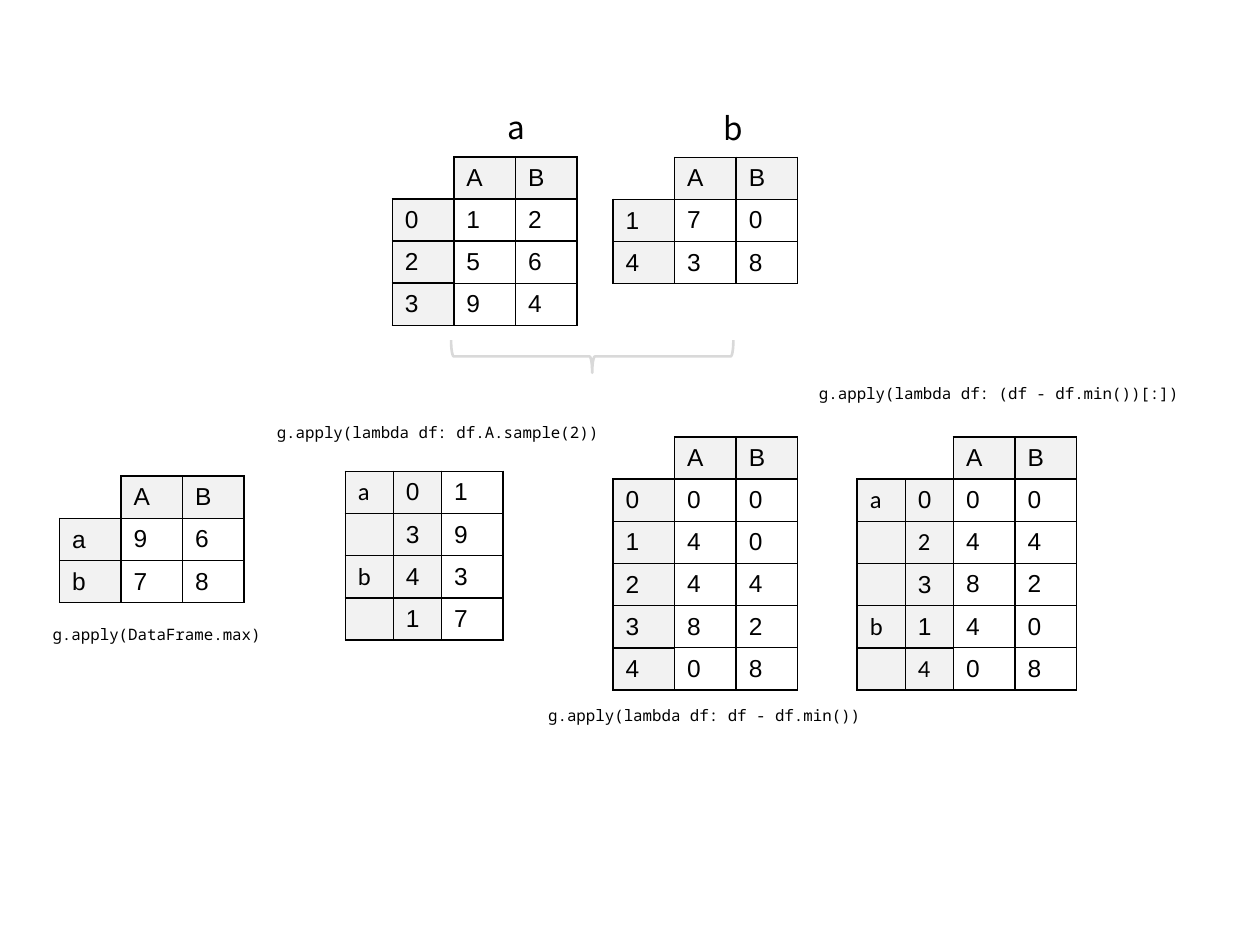
from dataclasses import dataclass

from lxml.etree import SubElement
from pptx import Presentation
from pptx.dml.color import RGBColor
from pptx.enum.shapes import MSO_SHAPE
from pptx.enum.text import MSO_ANCHOR, MSO_AUTO_SIZE
from pptx.oxml.ns import qn
from pptx.util import Cm, Pt


@dataclass(frozen=True)
class Theme:
    ink: RGBColor = RGBColor(0x00, 0x00, 0x00)
    shade: RGBColor = RGBColor(0xF2, 0xF2, 0xF2)
    brace: RGBColor = RGBColor(0xD9, 0xD9, 0xD9)
    cell_font: str = "Arial"
    level_font: str = "Calibri"
    group_font: str = "Noto Sans CJK SC"
    code_font: str = "Noto Sans Mono"
    cell_size: int = 14
    group_size: int = 18
    code_size: int = 9
    row: float = 0.85
    column: float = 1.24
    level: float = 0.97


class FrameSlide:
    def __init__(self, slide, theme):
        self.slide = slide
        self.theme = theme

    def run(self, paragraph, text, font, size):
        run = paragraph.add_run()
        run.text = text
        run.font.name = font
        run.font.size = Pt(size)
        run.font.color.rgb = self.theme.ink

    def label(self, text, left, top, width, height, font, size):
        box = self.slide.shapes.add_textbox(Cm(left), Cm(top), Cm(width), Cm(height))
        box.text_frame.word_wrap = False
        box.text_frame.auto_size = MSO_AUTO_SIZE.SHAPE_TO_FIT_TEXT
        self.run(box.text_frame.paragraphs[0], text, font, size)

    def group(self, text, left, top):
        self.label(text, left, top, 0.88, 1.02, self.theme.group_font, self.theme.group_size)

    def code(self, text, left, top, width):
        self.label(text, left, top, width, 0.64, self.theme.code_font, self.theme.code_size)

    def borders(self, cell):
        properties = cell._tc.get_or_add_tcPr()
        for side in ("a:lnL", "a:lnR", "a:lnT", "a:lnB"):
            line = SubElement(properties, qn(side), w=str(Pt(1)))
            fill = SubElement(line, qn("a:solidFill"))
            SubElement(fill, qn("a:srgbClr"), val=str(self.theme.ink))

    def grid(self, rows, left, top, width, shaded, level_cells=()):
        """Draws rows of text; the first `shaded` rows get the label fill."""
        theme = self.theme
        count = len(rows[0])
        table = self.slide.shapes.add_table(
            len(rows), count, Cm(left), Cm(top), Cm(width * count), Cm(theme.row * len(rows))
        ).table
        table.first_row = table.horz_banding = False
        for r, texts in enumerate(rows):
            for c, text in enumerate(texts):
                cell = table.cell(r, c)
                cell.vertical_anchor = MSO_ANCHOR.MIDDLE
                cell.margin_top = cell.margin_bottom = 0
                self.borders(cell)
                if r < shaded:
                    cell.fill.solid()
                    cell.fill.fore_color.rgb = theme.shade
                else:
                    cell.fill.background()
                if text:
                    font = theme.level_font if (r, c) in level_cells else theme.cell_font
                    self.run(cell.text_frame.paragraphs[0], text, font, theme.cell_size)

    def frame(self, left, top, index, values, header=("A", "B"), level_cells=()):
        """Places the values at left, top and the index to their left."""
        theme = self.theme
        head = [header] if header else []
        self.grid(head + values, left, top, theme.column, len(head))
        levels = len(index[0])
        width = theme.column if levels == 1 else theme.level
        self.grid(index, left - width * levels, top + theme.row * len(head),
                  width, len(index), level_cells)

    def brace(self, left, top, width, height):
        brace = self.slide.shapes.add_shape(
            MSO_SHAPE.LEFT_BRACE, Cm(left), Cm(top), Cm(width), Cm(height))
        brace.rotation = 270
        brace.shadow.inherit = False
        brace.fill.background()
        brace.line.color.rgb = self.theme.brace
        brace.line.width = Pt(1.5)


deck = Presentation()
deck.slide_width, deck.slide_height = Cm(25.4), Cm(19.05)
page = FrameSlide(deck.slides.add_slide(deck.slide_layouts[6]), Theme())

# Groups a and b
page.group("a", 9.98, 2.06)
page.frame(9.15, 3.16, ["0", "2", "3"], ["12", "56", "94"])
page.group("b", 14.33, 2.08)
page.frame(13.6, 3.17, ["1", "4"], ["70", "38"])
page.brace(11.61, 4.34, 0.66, 5.69)

# Maximum of each group
page.frame(2.44, 9.6, ["a", "b"], ["96", "78"])
page.code("g.apply(DataFrame.max)", 0.81, 12.47, 4.72)

# Sample of column A
page.code("g.apply(lambda df: df.A.sample(2))", 5.33, 8.4, 7.01)
page.frame(8.9, 9.5, [("a", "0"), ("", "3"), ("b", "4"), ("", "1")],
           ["1", "9", "3", "7"], header=None, level_cells={(0, 0), (2, 0)})

# Difference from the minimum, original index
page.frame(13.6, 8.81, ["0", "1", "2", "3", "4"], ["00", "40", "44", "82", "08"])
page.code("g.apply(lambda df: df - df.min())", 10.8, 14.1, 6.83)

# Difference from the minimum, grouped index
page.code("g.apply(lambda df: (df - df.min())[:])", 16.26, 7.61, 7.8)
page.frame(19.22, 8.81, [("a", "0"), ("", "2"), ("", "3"), ("b", "1"), ("", "4")],
           ["00", "44", "82", "40", "08"], level_cells={(0, 0), (1, 1), (3, 0), (4, 1)})

deck.save("out.pptx")
